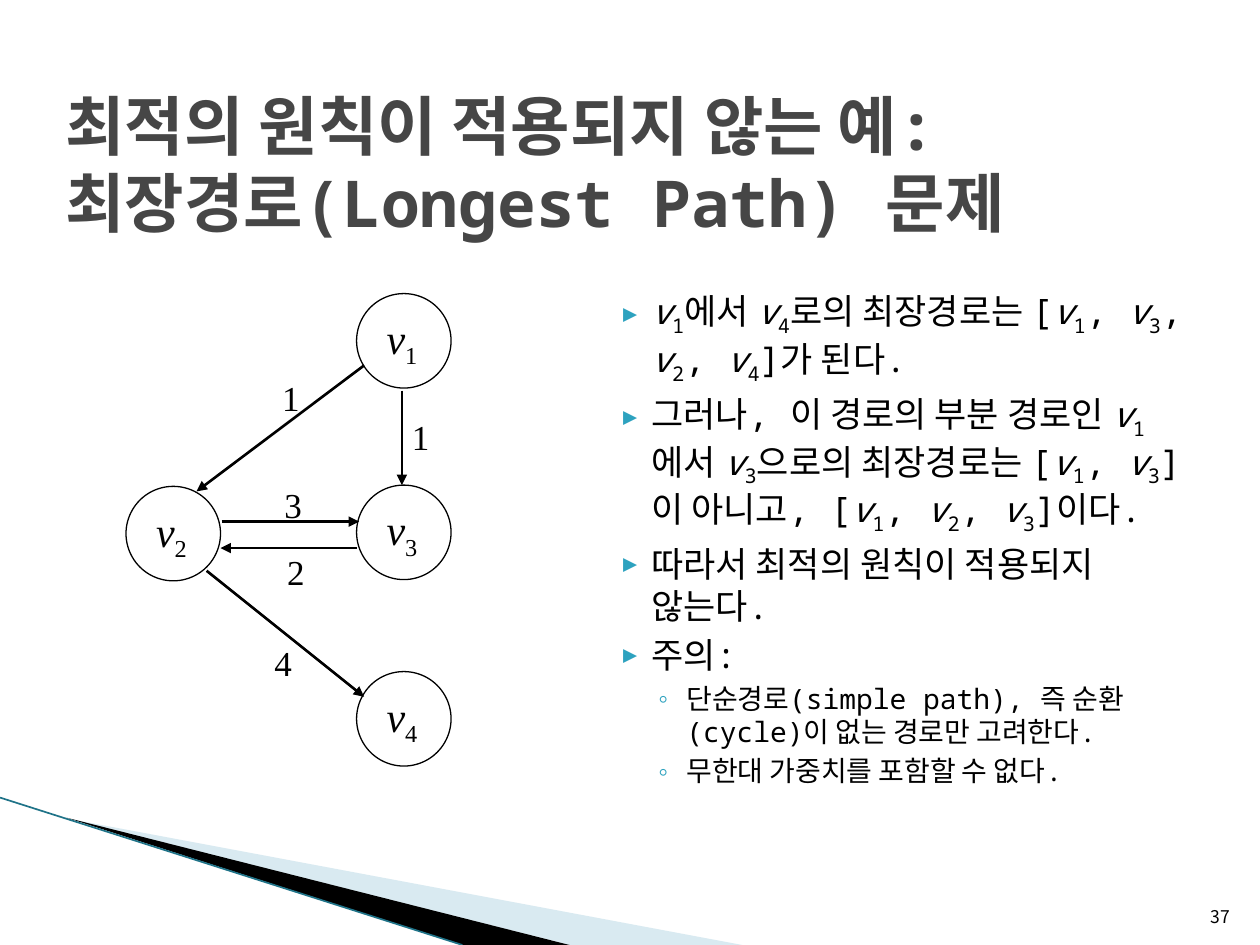
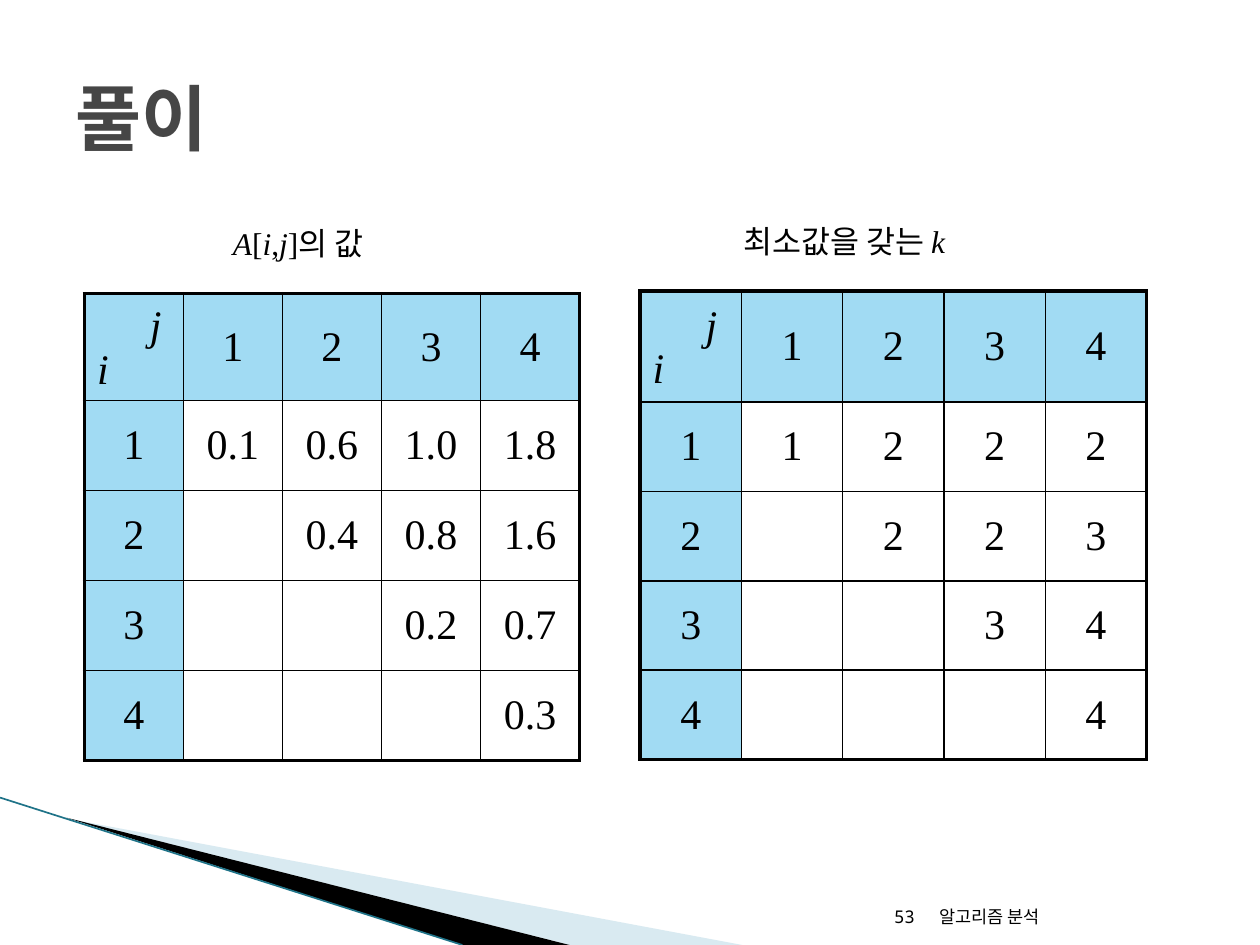
import pptx
import pptx.util
import pptx.dml.color
import pptx.enum.shapes
import pptx.enum.text
import pptx.oxml
import pptx.oxml.ns
import lxml.etree

PX = 9144  # EMU per px, 100 px to the inch
COLORS = {"ink": "000000", "title": "464646", "bullet": "2DA2BF",
          "pale": "A0CBDC", "edge": "1F7388", "header": "44B9E8"}
MONO, SERIF, KOREAN = "Noto Sans Mono", "Times New Roman", "Noto Sans CJK KR"
ALIGN = pptx.enum.text.PP_ALIGN
ANCHOR = pptx.enum.text.MSO_ANCHOR
SHAPE = pptx.enum.shapes.MSO_SHAPE
STRAIGHT = pptx.enum.shapes.MSO_CONNECTOR.STRAIGHT
Pt = pptx.util.Pt
qn = pptx.oxml.ns.qn


def px(*values):
    return [int(v * PX) for v in values]


def rgb(name):
    return pptx.dml.color.RGBColor.from_string(COLORS[name])


def sub(parent, tag, **attrs):
    return lxml.etree.SubElement(parent, qn(tag), {k: str(v) for k, v in attrs.items()})


def set_alpha(props, percent):
    sub(props.find(qn("a:solidFill"))[0], "a:alpha", val=percent * 1000)


# ---- text ----
def format_run(r, size, font, color="ink", bold=False):
    r.font.size = Pt(size)
    r.font.name = font
    r.font.bold = bold
    r.font.color.rgb = rgb(color)
    sub(r._r.get_or_add_rPr(), "a:ea", typeface=KOREAN)


def write(p, text, size, font):
    """Runs are split by |; a leading / is italic, a leading _ is subscript."""
    for part in text.split("|"):
        r = p.add_run()
        r.text = part.lstrip("/_")
        format_run(r, size, font)
        if part.startswith("/"):
            r.font.italic = True
        if part.startswith("_"):
            r._r.get_or_add_rPr().set("baseline", "-25000")


def add_text(s, box, text, size, font, wrap=False, align=ALIGN.LEFT, anchor=ANCHOR.TOP):
    sp = s.shapes.add_textbox(*px(*box))
    tf = sp.text_frame
    tf.word_wrap = wrap
    tf.vertical_anchor = anchor
    p = tf.paragraphs[0]
    p.alignment = align
    write(p, text, size, font)


def add_footer(s, box, text, font, align=ALIGN.LEFT):
    add_text(s, box, text, 10, font, True, align, ANCHOR.BOTTOM)


# ---- shared slide frame ----
def add_line(s, start, end, color, width, arrow=False):
    c = s.shapes.add_connector(STRAIGHT, *px(*start, *end))
    c.line.color.rgb = rgb(color)
    c.line.width = Pt(width)
    if arrow:
        sub(c.line._get_or_add_ln(), "a:tailEnd", type="triangle")
    sub(c._element.spPr, "a:effectLst")


def add_band(s, points, color, alpha=100):
    fb = s.shapes.build_freeform(*points[0], scale=PX)
    fb.add_line_segments(points[1:], close=True)
    sp = fb.convert_to_shape()
    sp.shadow.inherit = False
    sp.fill.solid()
    sp.fill.fore_color.rgb = rgb(color)
    sp.line.fill.background()
    if alpha < 100:
        set_alpha(sp._element.spPr, alpha)


def add_slide(prs, title, box, size):
    s = prs.slides.add_slide(prs.slide_layouts[5])
    add_band(s, [(55, 650), (589, 750), (452, 750)], "pale", 40)
    add_band(s, [(53, 649), (452, 750), (367, 750)], "ink")
    add_line(s, (0, 633), (367, 750), "edge", 0.95)
    sp = s.shapes.title
    sp.left, sp.top, sp.width, sp.height = px(*box)
    tf = sp.text_frame
    tf.text = title
    tf.word_wrap = True
    tf.auto_size = pptx.enum.text.MSO_AUTO_SIZE.NONE
    tf.vertical_anchor = ANCHOR.MIDDLE
    p = tf.paragraphs[0]
    p.alignment = ALIGN.LEFT
    for r in p.runs:
        format_run(r, size, MONO, "title", True)
    return s


# ---- longest path slide ----
def add_graph(s, x, y):
    nodes = {"1": (183, 0), "2": (0, 153), "3": (183, 152), "4": (183, 300)}
    edges = [((76, 181), (185, 181)), ((183, 202), (75, 202)), ((219, 77), (219, 152)),
             ((189, 57), (56, 157)), ((64, 220), (189, 320))]
    weights = [("3", 116, 146), ("1", 114, 61), ("1", 217, 92),
               ("2", 118, 199), ("4", 108, 271)]
    for name, (dx, dy) in nodes.items():
        sp = s.shapes.add_shape(SHAPE.OVAL, *px(x + dx, y + dy, 75, 75))
        sp.shadow.inherit = False
        sp.fill.background()
        sp.line.color.rgb = rgb("ink")
        sp.line.width = Pt(0.75)
        add_text(s, (x + dx + 14, y + dy + 10, 46, 46), "/v|_" + name, 24, SERIF)
    for start, end in edges:
        add_line(s, (x + start[0], y + start[1]), (x + end[0], y + end[1]), "ink", 1.5, True)
    for weight, dx, dy in weights:
        add_text(s, (x + dx, y + dy, 34, 40), weight, 20, SERIF)


def add_bullets(s, box, items):
    # level: size, left margin, indent, space before, bullet, bullet size
    levels = [(20, 40, -28, 4, "▶", 68), (16, 68, -25, 3.2, "◦", 100)]
    tf = s.shapes.add_textbox(*px(*box)).text_frame
    tf.word_wrap = True
    for i, (level, text) in enumerate(items):
        size, margin, indent, before, char, scale = levels[level]
        p = tf.paragraphs[0] if i == 0 else tf.add_paragraph()
        p.level = level
        p.space_before = Pt(before)
        pPr = p._p.get_or_add_pPr()
        pPr.set("marL", str(margin * PX))
        pPr.set("indent", str(indent * PX))
        sub(sub(pPr, "a:buClr"), "a:srgbClr", val=COLORS["bullet"])
        sub(pPr, "a:buSzPct", val=scale * 1000)
        sub(pPr, "a:buFont", typeface=MONO)
        sub(pPr, "a:buChar", char=char)
        write(p, text, size, MONO)


def longest_path_slide(prs):
    s = add_slide(prs, "최적의 원칙이 적용되지 않는 예:\v최장경로(Longest Path) 문제",
                  (42, 67, 925, 125), 36.9)
    add_footer(s, (946, 701, 40, 40), "37", KOREAN, ALIGN.RIGHT)
    add_bullets(s, (467, 225, 490, 458), [
        (0, "/v|_1|에서 |/v|_4|로의 최장경로는 [|/v|_1|, |/v|_3|, |/v|_2|, |/v|_4|]가 된다."),
        (0, "그러나, 이 경로의 부분 경로인 |/v|_1|에서 |/v|_3|으로의 최장경로는 [|/v|_1|, |/v|_3"
            "|]이 아니고, [|/v|_1|, |/v|_2|, |/v|_3|]이다."),
        (0, "따라서 최적의 원칙이 적용되지 않는다."),
        (0, "주의:"),
        (1, "단순경로(simple path), 즉 순환(cycle)이 없는 경로만 고려한다."),
        (1, "무한대 가중치를 포함할 수 없다.")])
    add_graph(s, 100, 233)


# ---- solution slide ----
def style_cell(cell, outer, header):
    tcPr = cell._tc.get_or_add_tcPr()
    for side in "LRTB":
        ln = sub(tcPr, "a:ln" + side, w=Pt(2.25 if side in outer else 1))
        sub(sub(ln, "a:solidFill"), "a:srgbClr", val=COLORS["ink"])
    cell.vertical_anchor = ANCHOR.MIDDLE
    if header:
        cell.fill.solid()
        cell.fill.fore_color.rgb = rgb("header")
        set_alpha(tcPr, 50)
    else:
        cell.fill.background()


def add_matrix(s, box, head, values):
    n = len(values) + 1
    table = s.shapes.add_table(n, n, *px(*box)).table
    table.first_row = table.horz_banding = False
    col, row = px(box[2] / n, (box[3] - head) / (n - 1))
    for i in range(n):
        table.columns[i].width = col
        table.rows[i].height = row if i else head * PX
    # upper triangle of values, with indices along the top and left
    labels = [str(k) for k in range(1, n)]
    grid = [[""] + labels]
    grid += [[labels[i]] + [""] * i + v for i, v in enumerate(values)]
    for i, texts in enumerate(grid):
        for j, text in enumerate(texts):
            cell = table.cell(i, j)
            edges = {"L": j == 0, "R": j == n - 1, "T": i == 0, "B": i == n - 1}
            style_cell(cell, [k for k in edges if edges[k]], i == 0 or j == 0)
            if text:
                p = cell.text_frame.paragraphs[0]
                p.alignment = ALIGN.CENTER
                p.space_before = Pt(4.8)
                write(p, text, 24, SERIF)
    # corner: column index above row index
    tf = table.cell(0, 0).text_frame
    j_par, i_par = tf.paragraphs[0], tf.add_paragraph()
    j_par._p.get_or_add_pPr().set("marL", str(42 * PX))
    i_par.line_spacing = 0.7
    for p, text in ((j_par, "/j"), (i_par, "/i")):
        p.space_before = Pt(4.8)
        write(p, text, 24, SERIF)


def solution_slide(prs):
    s = add_slide(prs, "풀이", (50, 30, 900, 125), 41)
    add_footer(s, (736, 701, 210, 40), "알고리즘 분석", MONO)
    add_footer(s, (479, 701, 257, 40), "53", MONO, ALIGN.RIGHT)
    add_matrix(s, (67, 233, 393, 370), 84,
               [["0.1", "0.6", "1.0", "1.8"], ["0.4", "0.8", "1.6"], ["0.2", "0.7"], ["0.3"]])
    add_matrix(s, (508, 231, 402, 372), 88,
               [["1", "2", "2", "2"], ["2", "2", "3"], ["3", "4"], ["4"]])
    add_text(s, (175, 173, 164, 50), "/A|[|/i|,|/j|]의 값", 18, SERIF)
    add_text(s, (580, 171, 251, 50), "최소값을 갖는 |/k", 18, SERIF)


def main():
    prs = pptx.Presentation()
    prs.slide_width, prs.slide_height = px(1000, 750)
    longest_path_slide(prs)
    solution_slide(prs)
    prs.save("out.pptx")


if __name__ == "__main__":
    main()
